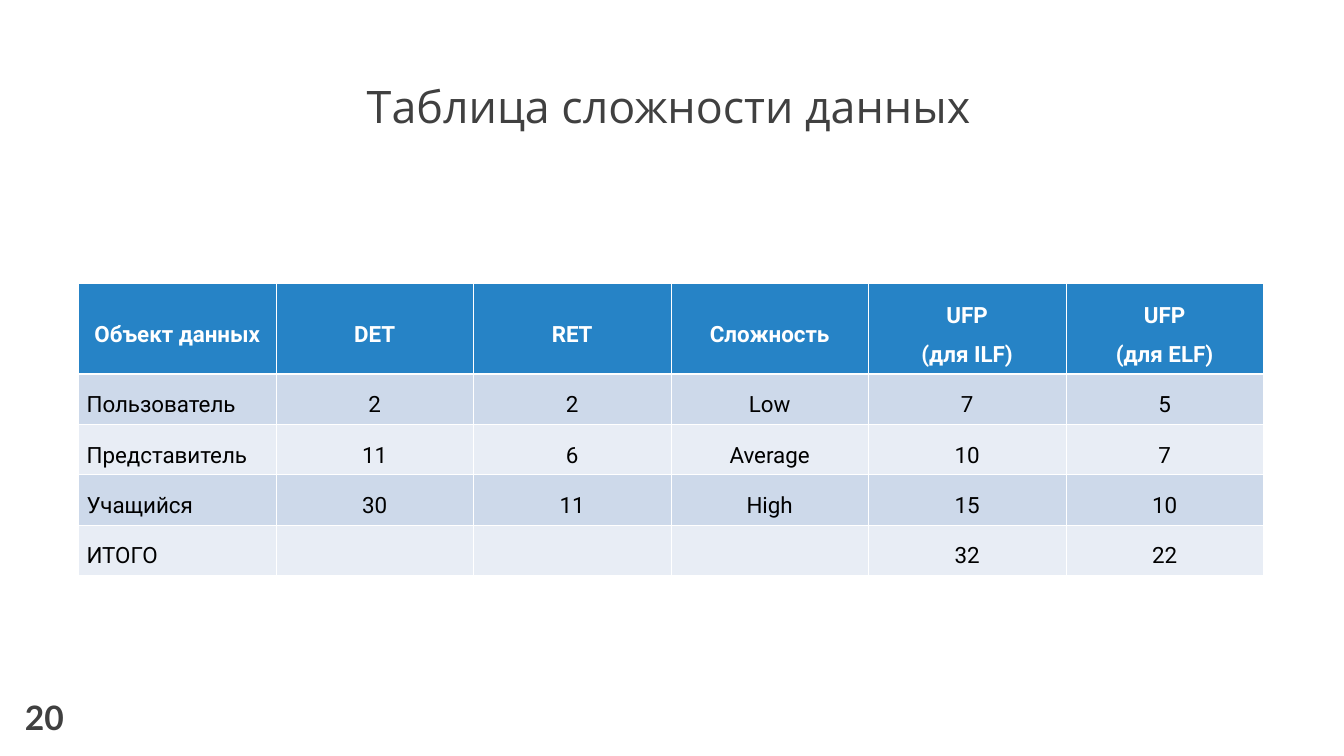
from lxml import etree
from pptx import Presentation
from pptx.dml.color import RGBColor
from pptx.enum.text import MSO_ANCHOR, PP_ALIGN
from pptx.oxml.ns import qn
from pptx.util import Pt

PX = 9144  # 100 px to the inch
TOP, MID, BOTTOM = MSO_ANCHOR.TOP, MSO_ANCHOR.MIDDLE, MSO_ANCHOR.BOTTOM
LEFT, CENTER, JUSTIFY = PP_ALIGN.LEFT, PP_ALIGN.CENTER, PP_ALIGN.JUSTIFY

WHITE, BLACK, GREY = "FFFFFF", "000000", "404040"
BLUE, BANDS = "2683C6", ("CDD9EA", "E8EDF5")
THIN, THICK = 0.45, 1.47

HEAD = ["Объект данных", "DET", "RET", "Сложность",
        "UFP\n(для ILF)", "UFP\n(для ELF)"]
ROWS = [
    ["Пользователь", "2", "2", "Low", "7", "5"],
    ["Представитель", "11", "6", "Average", "10", "7"],
    ["Учащийся", "30", "11", "High", "15", "10"],
    ["ИТОГО", "", "", "", "32", "22"],
]


def px(*vals):
    return [val * PX for val in vals]


def color(code):
    return RGBColor.from_string(code)


def write(frame, text, align, space, ink, **font):
    frame.text = text
    for para in frame.paragraphs:
        para.alignment = align
        para.line_spacing = space
        para.font.color.rgb = color(ink)
        for key, val in font.items():
            setattr(para.font, key, val)


def add_text(slide, box, text, anchor, align, space, **font):
    frame = slide.shapes.add_textbox(*px(*box)).text_frame
    frame.word_wrap = True
    frame.vertical_anchor = anchor
    write(frame, text, align, space, GREY, **font)


def add_edges(cell, widths):
    props = cell._tc.get_or_add_tcPr()
    for side, width in widths.items():
        line = etree.SubElement(props, qn("a:ln" + side), w=str(Pt(width)))
        fill = etree.SubElement(line, qn("a:solidFill"))
        etree.SubElement(fill, qn("a:srgbClr"), val=WHITE)


def add_grid(slide, box, head_h, row_h):
    left, top, width, height = px(*box)
    data = [HEAD] + ROWS
    grid = slide.shapes.add_table(
        len(data), len(HEAD), left, top, width, height).table
    for col in grid.columns:
        col.width = width // len(HEAD)

    for r, texts in enumerate(data):
        head = r == 0
        grid.rows[r].height = (head_h if head else row_h) * PX
        edges = {"L": THIN, "R": THIN,
                 "T": THICK if r == 1 else THIN,
                 "B": THICK if head else THIN}
        for c, text in enumerate(texts):
            cell = grid.cell(r, c)
            add_edges(cell, edges)
            cell.fill.solid()
            cell.fill.fore_color.rgb = color(BLUE if head else BANDS[(r - 1) % 2])
            cell.vertical_anchor = MID if head else TOP
            cell.margin_left = cell.margin_right = 8 * PX
            cell.margin_top = cell.margin_bottom = 5 * PX
            align = JUSTIFY if c == 0 and not head else CENTER
            write(cell.text_frame, text, align, 1.5, WHITE if head else BLACK,
                  name="Roboto", size=Pt(16), bold=head)


def main():
    deck = Presentation()
    deck.slide_width, deck.slide_height = px(1334, 750)
    slide = deck.slides.add_slide(deck.slide_layouts[6])

    # Title
    add_text(slide, (87, 13, 1154, 124), "Таблица сложности данных",
             BOTTOM, CENTER, 0.9, name="Open Sans", size=Pt(32))
    # Table of data complexity
    add_grid(slide, (78, 281, 1176, 256), head_h=80, row_h=44)
    # Page number
    add_text(slide, (15, 686, 63, 50), "20",
             TOP, LEFT, 1.0, name="Lato", size=Pt(24), bold=True)

    deck.save("out.pptx")


if __name__ == "__main__":
    main()
